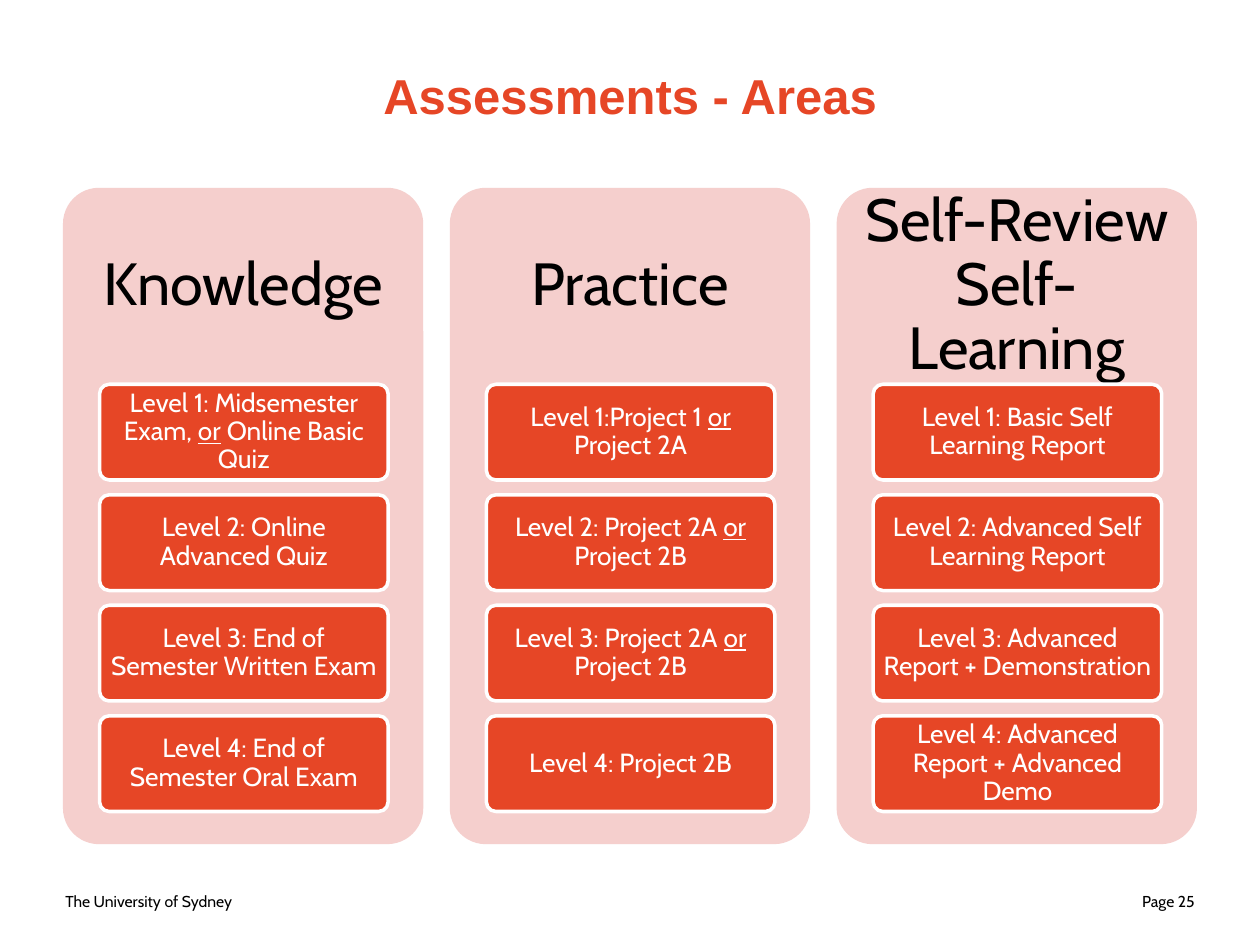
from pptx import Presentation
from pptx.dml.color import RGBColor
from pptx.enum.shapes import MSO_SHAPE
from pptx.enum.text import MSO_ANCHOR, PP_ALIGN
from pptx.util import Inches, Pt

ORANGE, PINK, WHITE, BLACK = "E64626", "F5CFCD", "FFFFFF", "000000"
AREAS = [
    ("Knowledge", [
        "Level 1: Midsemester Exam, or Online Basic Quiz",
        "Level 2: Online Advanced Quiz",
        "Level 3: End of Semester Written Exam",
        "Level 4: End of Semester Oral Exam",
    ]),
    ("Practice", [
        "Level 1:Project 1 or Project 2A",
        "Level 2: Project 2A or Project 2B",
        "Level 3: Project 2A or Project 2B",
        "Level 4: Project 2B",
    ]),
    ("Self-Review Self-Learning", [
        "Level 1: Basic Self Learning Report",
        "Level 2: Advanced Self Learning Report",
        "Level 3: Advanced Report + Demonstration",
        "Level 4: Advanced Report + Advanced Demo",
    ]),
]


def rgb(value):
    return RGBColor.from_string(value)


class SlideBuilder:
    font = "Cabin"

    def __init__(self, slide):
        self.slide = slide

    def place(self, sp, x, y, w, h):
        sp.left, sp.top, sp.width, sp.height = map(Inches, (x, y, w, h))

    def format(self, tf, size, color, align, font=None, bold=False, spacing=None):
        tf.word_wrap = True
        tf.vertical_anchor = MSO_ANCHOR.MIDDLE
        for p in tf.paragraphs:
            p.alignment = align
            if spacing:
                p.line_spacing = spacing
            for r in p.runs:
                r.font.name = font or self.font
                r.font.size = Pt(size)
                r.font.bold = bold
                r.font.color.rgb = rgb(color)

    def margins(self, tf, horizontal, vertical):
        tf.margin_left = tf.margin_right = Inches(horizontal)
        tf.margin_top = tf.margin_bottom = Inches(vertical)

    def title(self, text):
        sp = self.slide.shapes.title
        self.place(sp, 0.5, 0.13, 9, 1.25)
        sp.text_frame.text = text
        self.format(sp.text_frame, 28, ORANGE, PP_ALIGN.CENTER, "Arial", True)

    def text(self, text, x, y, w, h, size, align, spacing=None):
        sp = self.slide.shapes.add_textbox(*map(Inches, (x, y, w, h)))
        sp.text_frame.text = text
        self.format(sp.text_frame, size, BLACK, align, spacing=spacing)
        return sp

    def box(self, x, y, w, h, fill, line=None):
        sp = self.slide.shapes.add_shape(
            MSO_SHAPE.ROUNDED_RECTANGLE, *map(Inches, (x, y, w, h)))
        sp.adjustments[0] = 0.1
        sp.shadow.inherit = False
        sp.fill.solid()
        sp.fill.fore_color.rgb = rgb(fill)
        if line:
            sp.line.color.rgb = rgb(line)
            sp.line.width = Pt(2)
        else:
            sp.line.fill.background()
        return sp

    def level(self, text, x, y):
        tf = self.box(x, y, 2.29, 0.76, ORANGE, WHITE).text_frame
        before, joint, after = text.partition(" or ")
        p = tf.paragraphs[0]
        if joint:
            for part in (before + " ", "or", " " + after):
                r = p.add_run()
                r.text = part
                r.font.underline = part == "or"
        else:
            p.text = text
        self.margins(tf, 0.04, 0.03)
        self.format(tf, 15, WHITE, PP_ALIGN.CENTER, spacing=0.9)

    def area(self, heading, levels, x):
        self.box(x, 1.49, 2.86, 5.21, PINK)
        sp = self.text(heading, x, 1.49, 2.86, 1.56, 34, PP_ALIGN.CENTER, 0.9)
        self.margins(sp.text_frame, 0.14, 0.14)
        for i, text in enumerate(levels):
            self.level(text, x + 0.29, 3.05 + i * 0.877)


def main():
    prs = Presentation()
    prs.slide_width, prs.slide_height = Inches(10), Inches(7.5)
    s = SlideBuilder(prs.slides.add_slide(prs.slide_layouts[5]))
    s.text("The University of Sydney", 0.42, 6.95, 2.33, 0.4, 9, PP_ALIGN.LEFT)
    s.text("Page 25", 7.25, 6.95, 2.33, 0.4, 9, PP_ALIGN.RIGHT)
    s.title("Assessments - Areas")
    for i, (heading, levels) in enumerate(AREAS):
        s.area(heading, levels, 0.5 + i * 3.07)
    prs.save("out.pptx")


if __name__ == "__main__":
    main()
